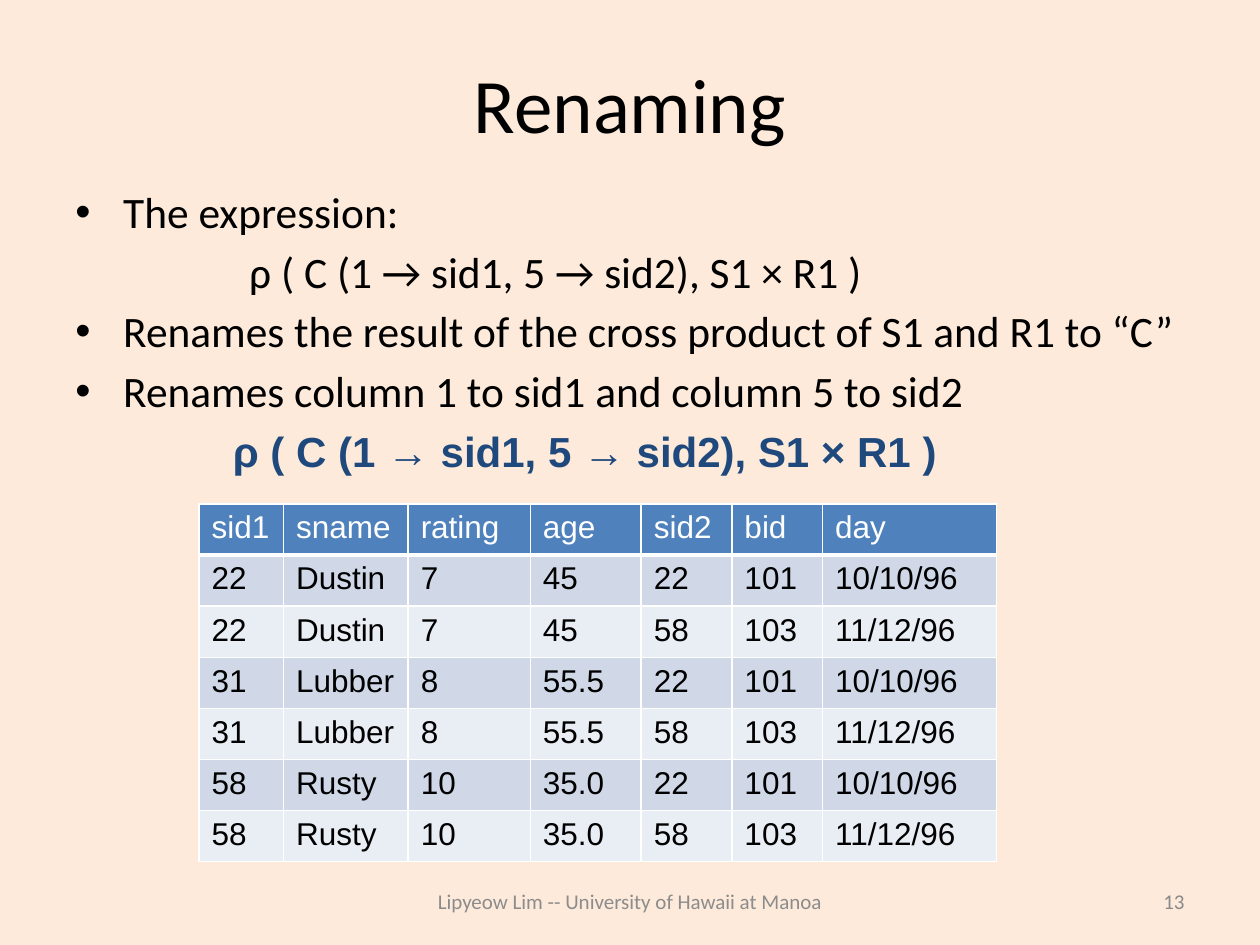
from lxml.etree import SubElement
from pptx import Presentation
from pptx.dml.color import RGBColor
from pptx.enum.text import MSO_ANCHOR, PP_ALIGN
from pptx.oxml.ns import qn
from pptx.util import Inches, Pt

COLORS = {
    "background": "FDEADA",
    "text": "000000",
    "footer": "8C8C8C",
    "number": "898989",
    "formula": "1F497D",
    "header": "4F81BD",
    "odd_row": "D0D8E8",
    "even_row": "E9EDF4",
    "white": "FFFFFF",
}
FORMULA = "ρ ( C (1 → sid1, 5 → sid2), S1 × R1 )"
COLUMN_WIDTHS = [0.67, 0.99, 0.97, 0.88, 0.72, 0.72, 1.38]
HEADINGS = ["sid1", "sname", "rating", "age", "sid2", "bid", "day"]
SAILORS = [
    ("22", "Dustin", "7", "45"),
    ("31", "Lubber", "8", "55.5"),
    ("58", "Rusty", "10", "35.0"),
]
RESERVATIONS = [("22", "101", "10/10/96"), ("58", "103", "11/12/96")]


class SlideBuilder:
    heading_font = "Calibri"
    table_font = "Arial"

    def __init__(self, page):
        self.page = page
        fill = page.background.fill
        fill.solid()
        fill.fore_color.rgb = self.color("background")

    def color(self, name):
        return RGBColor.from_string(COLORS[name])

    def style(self, paragraph, size, color, font, bold=False):
        paragraph.font.size = Pt(size)
        paragraph.font.name = font
        paragraph.font.bold = bold
        paragraph.font.color.rgb = self.color(color)

    def frame(self, left, top, width, height, wrap=True):
        box = self.page.shapes.add_textbox(
            Inches(left), Inches(top), Inches(width), Inches(height))
        box.text_frame.word_wrap = wrap
        return box.text_frame

    def label(self, text, place, size, color="text", align=PP_ALIGN.CENTER):
        frame = self.frame(*place)
        frame.vertical_anchor = MSO_ANCHOR.MIDDLE
        paragraph = frame.paragraphs[0]
        paragraph.text = text
        paragraph.alignment = align
        self.style(paragraph, size, color, self.heading_font)

    def formula(self, text, place):
        paragraph = self.frame(*place, wrap=False).paragraphs[0]
        paragraph.text = text
        self.style(paragraph, 24, "formula", self.table_font, bold=True)

    def bullets(self, lines, place):
        """Lines are (text, has_bullet); those without a bullet are indented."""
        frame = self.frame(*place)
        for index, (text, has_bullet) in enumerate(lines):
            paragraph = frame.add_paragraph() if index else frame.paragraphs[0]
            paragraph.text = text
            if index:
                paragraph.space_before = Pt(4.3)
            properties = paragraph._p.get_or_add_pPr()
            hanging = 0.38 if has_bullet else 0
            properties.set("marL", str(Inches(hanging or 1.38)))
            properties.set("indent", str(-Inches(hanging)))
            if has_bullet:
                SubElement(properties, qn("a:buFont"), typeface="Arial")
                SubElement(properties, qn("a:buChar"), char="•")
            else:
                SubElement(properties, qn("a:buNone"))
            self.style(paragraph, 24.8, "text", self.heading_font)

    def borders(self, cell, bottom):
        """Draw white cell edges, 1 pt wide except for the bottom one."""
        properties = cell._tc.get_or_add_tcPr()
        widths = {"a:lnL": 1, "a:lnR": 1, "a:lnT": 1, "a:lnB": bottom}
        for position, (tag, width) in enumerate(widths.items()):
            line = SubElement(properties, qn(tag), w=str(Pt(width)))
            fill = SubElement(line, qn("a:solidFill"))
            SubElement(fill, qn("a:srgbClr"), val=COLORS["white"])
            properties.insert(position, line)

    def table(self, rows, widths, left, top, height):
        table = self.page.shapes.add_table(
            len(rows), len(widths), Inches(left), Inches(top),
            Inches(sum(widths)), Inches(height)).table
        for column, width in zip(table.columns, widths):
            column.width = Inches(width)
        for row_index, values in enumerate(rows):
            is_header = row_index == 0
            band = "odd_row" if row_index % 2 else "even_row"
            for column_index, value in enumerate(values):
                cell = table.cell(row_index, column_index)
                cell.text = value
                self.style(cell.text_frame.paragraphs[0], 18,
                           "white" if is_header else "text", self.table_font)
                cell.fill.solid()
                cell.fill.fore_color.rgb = self.color("header" if is_header else band)
                self.borders(cell, bottom=3 if is_header else 1)


def main():
    deck = Presentation()
    deck.slide_width, deck.slide_height = Inches(10), Inches(7.5)
    slide = SlideBuilder(deck.slides.add_slide(deck.slide_layouts[6]))

    slide.label("Renaming", (0.5, 0.3, 9, 1.03), 44)
    slide.bullets([
        ("The expression:", True),
        (FORMULA, False),
        ("Renames the result of the cross product of S1 and R1 to “C”", True),
        ("Renames column 1 to sid1 and column 5 to sid2", True),
    ], (0.5, 1.42, 9, 1.92))
    slide.label("Lipyeow Lim -- University of Hawaii at Manoa",
                (3, 6.95, 4, 0.4), 12, "footer")
    slide.label("13", (7.17, 6.95, 2.33, 0.4), 12, "number", PP_ALIGN.RIGHT)

    cross_product = [sailor + reservation
                     for sailor in SAILORS for reservation in RESERVATIONS]
    slide.table([HEADINGS] + cross_product, COLUMN_WIDTHS, 1.58, 4, 2.84)
    slide.formula(FORMULA, (1.75, 3.33, 5.84, 0.5))

    deck.save("out.pptx")


if __name__ == "__main__":
    main()
